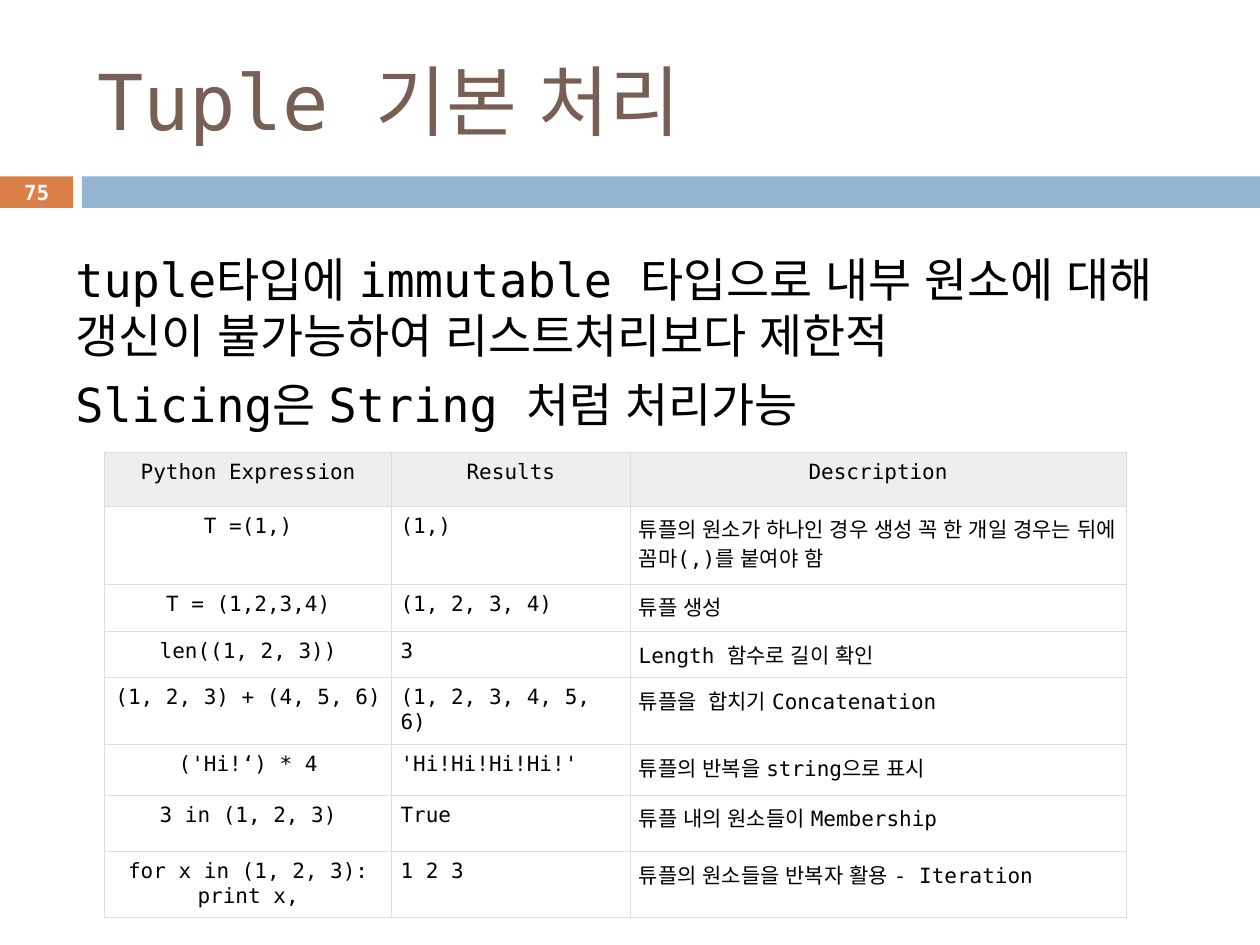
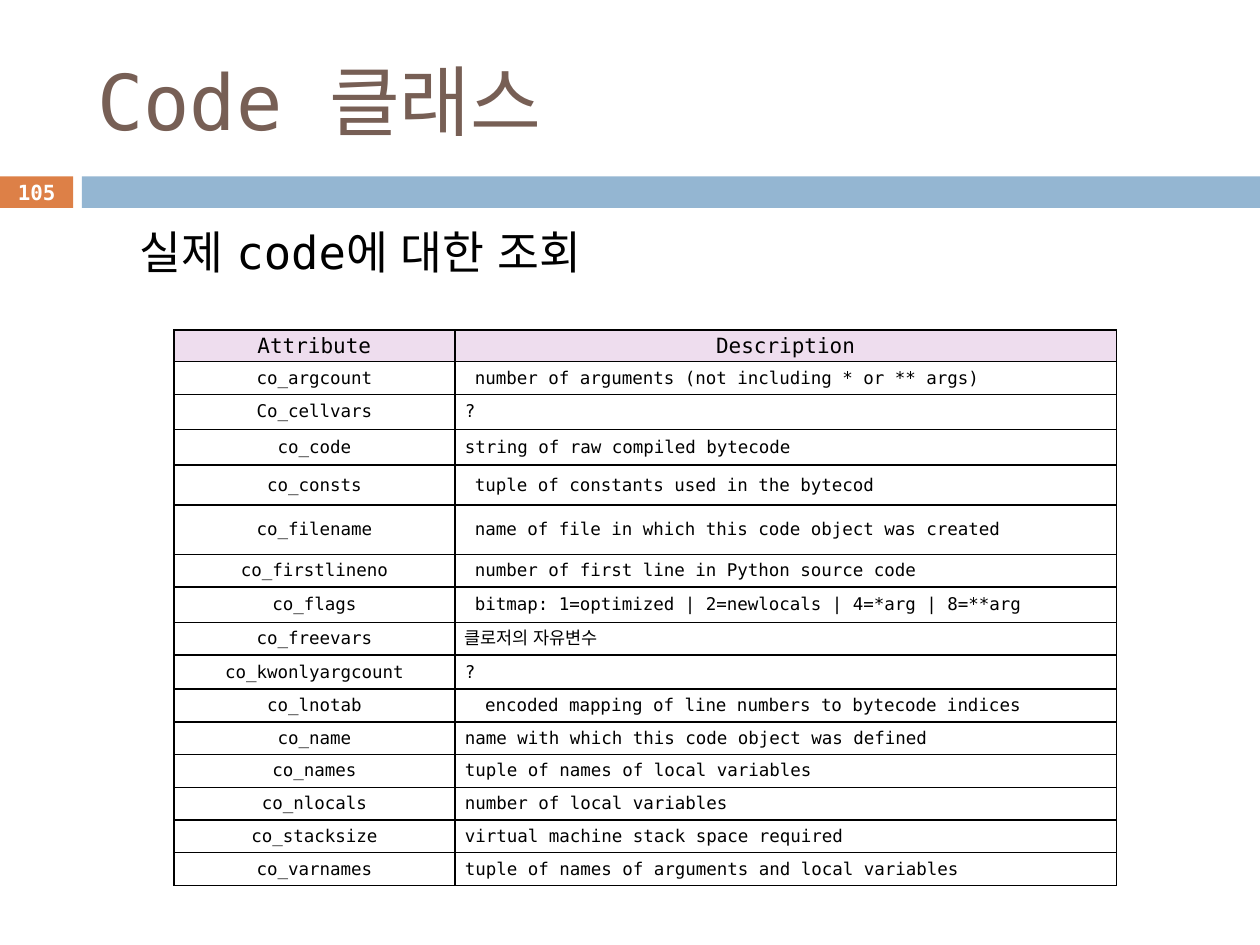
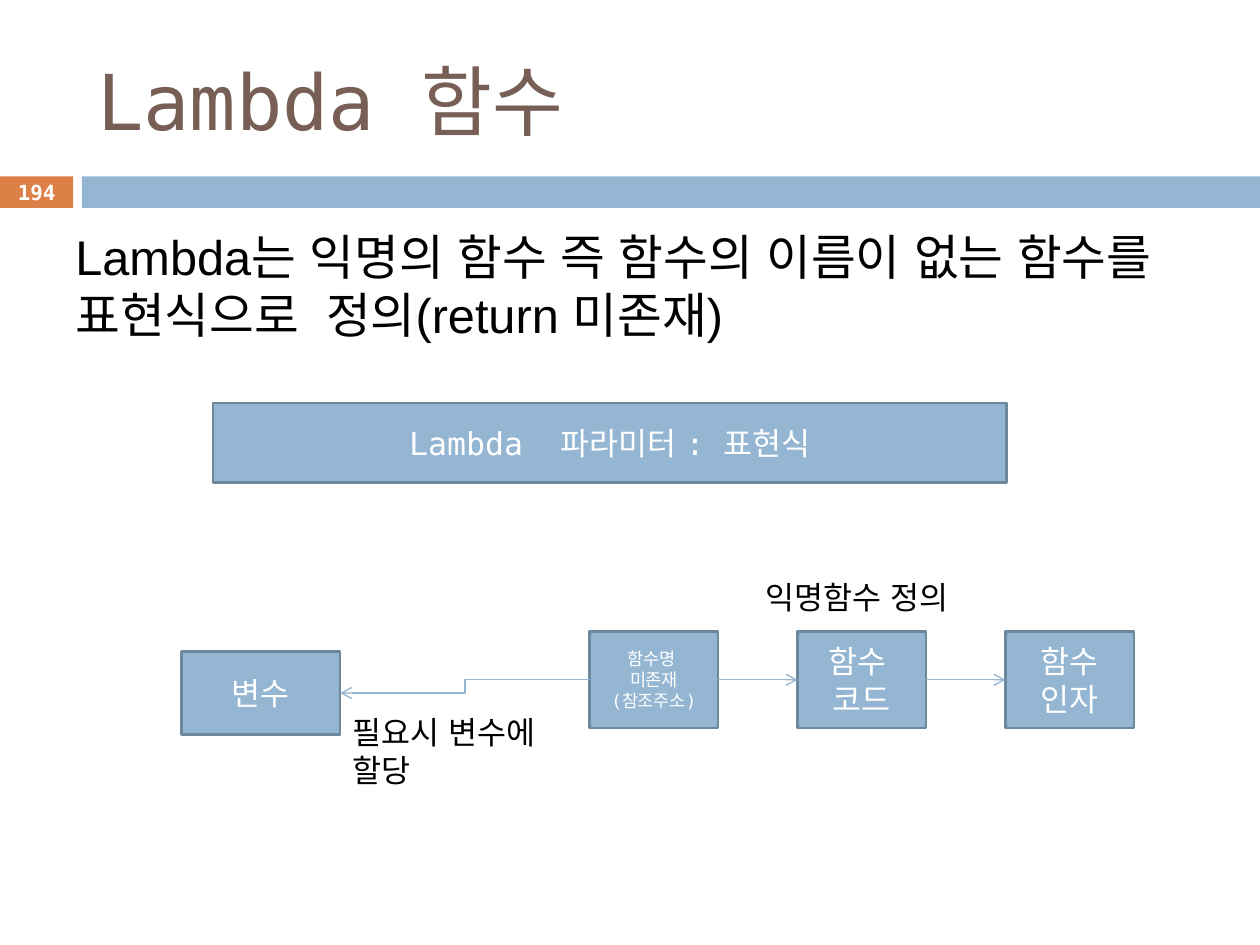
"""Build three slides on Python tuples, code objects and lambda functions."""
from lxml.etree import SubElement
from pptx import Presentation
from pptx.dml.color import RGBColor
from pptx.enum.shapes import MSO_CONNECTOR, MSO_SHAPE
from pptx.enum.text import MSO_ANCHOR, PP_ALIGN
from pptx.oxml import parse_xml
from pptx.oxml.ns import nsdecls, qn
from pptx.util import Inches, Pt

BLUE = RGBColor(0x94, 0xB6, 0xD2)
BLUE_EDGE = RGBColor(0x6D, 0x87, 0x9B)
ORANGE = RGBColor(0xDD, 0x80, 0x47)
BROWN = RGBColor(0x77, 0x5F, 0x55)
BLACK = RGBColor(0, 0, 0)
WHITE = RGBColor(255, 255, 255)
GRAY_HEAD = RGBColor(0xEE, 0xEE, 0xEE)
GRAY_EDGE = RGBColor(0xDD, 0xDD, 0xDD)
PINK_HEAD = RGBColor(0xEE, 0xDD, 0xEE)
MONO, SANS = "DejaVu Sans Mono", "Arial"
LEFT, CENTER = PP_ALIGN.LEFT, PP_ALIGN.CENTER
TOP, MIDDLE = MSO_ANCHOR.TOP, MSO_ANCHOR.MIDDLE

TUPLE_LINES = [
    "tuple타입에 immutable 타입으로 내부 원소에 대해 갱신이 불가능하여 리스트처리보다 제한적",
    "Slicing은 String 처럼 처리가능",
]
TUPLE_ROWS = [
    (0.43, "Python Expression", "Results", "Description"),
    (0.62, "T =(1,)", "(1,)",
     "튜플의 원소가 하나인 경우 생성 꼭 한 개일 경우는 뒤에 꼼마(,)를 붙여야 함"),
    (0.37, "T = (1,2,3,4)", "(1, 2, 3, 4)", "튜플 생성"),
    (0.37, "len((1, 2, 3))", "3", "Length 함수로 길이 확인"),
    (0.53, "(1, 2, 3) + (4, 5, 6)", "(1, 2, 3, 4, 5, 6)", "튜플을  합치기 Concatenation"),
    (0.4, "('Hi!‘) * 4", "'Hi!Hi!Hi!Hi!'", "튜플의 반복을 string으로 표시"),
    (0.45, "3 in (1, 2, 3)", "True", "튜플 내의 원소들이 Membership"),
    (0.52, "for x in (1, 2, 3): print x,", "1 2 3", "튜플의 원소들을 반복자 활용 - Iteration"),
]
CODE_LINES = ["실제 code에 대한 조회"]
CODE_ROWS = [
    (0.25, "Attribute", "Description"),
    (0.26, "co_argcount", "number of arguments (not including * or ** args)"),
    (0.28, "Co_cellvars", "?"),
    (0.28, "co_code", "string of raw compiled bytecode"),
    (0.32, "co_consts", "tuple of constants used in the bytecod"),
    (0.39, "co_filename", "name of file in which this code object was created"),
    (0.26, "co_firstlineno", "number of first line in Python source code"),
    (0.28, "co_flags", "bitmap: 1=optimized | 2=newlocals | 4=*arg | 8=**arg"),
    (0.26, "co_freevars", "클로저의 자유변수"),
    (0.27, "co_kwonlyargcount", "?"),
    (0.26, "co_lnotab", "encoded mapping of line numbers to bytecode indices"),
    (0.26, "co_name", "name with which this code object was defined"),
    (0.26, "co_names", "tuple of names of local variables"),
    (0.26, "co_nlocals", "number of local variables"),
    (0.26, "co_stacksize", "virtual machine stack space required"),
    (0.26, "co_varnames", "tuple of names of arguments and local variables"),
]
CODE_INDENTS = {"co_argcount": 1, "co_consts": 1, "co_filename": 1,
                "co_firstlineno": 1, "co_flags": 1, "co_lnotab": 2}
INDENT_STEP = 0.08
LAMBDA_LINES = ["Lambda는 익명의 함수 즉 함수의 이름이 없는 함수를 표현식으로  정의(return 미존재)"]
LAMBDA_FORM = ["Lambda  파라미터 : 표현식"]
CHAIN = [(["함수명 ", "미존재", "(참조주소)"], 10), (["함수 ", "코드"], 18), (["함수", "인자"], 18)]
CHAIN_LEFT, CHAIN_TOP, CHAIN_PITCH = 4.68, 5.01, 1.65
CHAIN_SIZE = (1.02, 0.77)


def write(frame, lines, size, color=BLACK, align=LEFT, anchor=TOP, font=MONO,
          bold=False, gap=0, spacing=None):
    """Fill a text frame with one styled paragraph per line."""
    frame.word_wrap = True
    frame.vertical_anchor = anchor
    for index, line in enumerate(lines):
        para = frame.paragraphs[0] if index == 0 else frame.add_paragraph()
        para.alignment = align
        para.line_spacing = spacing
        if index:
            para.space_before = Pt(gap)
        span = para.add_run()
        span.text = line
        span.font.size = Pt(size)
        span.font.name = font
        span.font.bold = bold
        span.font.color.rgb = color
        SubElement(span.font._element, qn("a:ea"), typeface=SANS)


def add_text(page, area, lines, size, **style):
    """Add a wrapped text box."""
    box = page.shapes.add_textbox(*map(Inches, area))
    write(box.text_frame, lines, size, **style)
    return box


def add_box(page, area, fill, edge=None):
    """Add a flat rectangle."""
    box = page.shapes.add_shape(MSO_SHAPE.RECTANGLE, *map(Inches, area))
    box.shadow.inherit = False
    box.fill.solid()
    box.fill.fore_color.rgb = fill
    if edge is None:
        box.line.fill.background()
    else:
        box.line.color.rgb = edge
        box.line.width = Pt(1.5)
    return box


def add_label_box(page, area, lines, size=18):
    """Add a blue diagram box with a white label."""
    box = add_box(page, area, BLUE, BLUE_EDGE)
    write(box.text_frame, lines, size, WHITE, CENTER, MIDDLE)
    return box


def add_arrow(page, kind, start, start_side, end, end_side):
    """Join two boxes with an open arrow."""
    arrow = page.shapes.add_connector(kind, 0, 0, 0, 0)
    arrow.begin_connect(start, start_side)
    arrow.end_connect(end, end_side)
    arrow.line.color.rgb = BLUE
    arrow.line.width = Pt(0.79)
    SubElement(arrow.line._get_or_add_ln(), qn("a:tailEnd"), type="arrow")
    SubElement(arrow._element.spPr, qn("a:effectLst"))


def add_page(deck, title, number):
    """Add a slide with its title, band and page number."""
    page = deck.slides.add_slide(deck.slide_layouts[5])
    heading = page.shapes.title
    heading.left, heading.top, heading.width, heading.height = map(
        Inches, (0.67, 0.25, 8.92, 1.08))
    write(heading.text_frame, [title], 44, BROWN, anchor=MIDDLE)
    tag = add_box(page, (0, 1.4, 0.58, 0.25), ORANGE)
    frame = tag.text_frame
    frame.margin_left = frame.margin_right = frame.margin_top = frame.margin_bottom = 0
    write(frame, [number], 11.9, WHITE, CENTER, MIDDLE, bold=True)
    add_box(page, (0.65, 1.4, 9.35, 0.25), BLUE)
    return page


def border_cell(cell, color, width):
    """Draw all four sides of a table cell."""
    properties = cell._tc.get_or_add_tcPr()
    for index, side in enumerate(("lnL", "lnR", "lnT", "lnB")):
        properties.insert(index, parse_xml(
            f'<a:{side} {nsdecls("a")} w="{Pt(width)}"><a:solidFill>'
            f'<a:srgbClr val="{color}"/></a:solidFill></a:{side}>'))


def add_grid(page, origin, widths, rows, head_fill, edge, edge_width, body_size,
             anchor, margin, text_margin, indents, description_spacing=None):
    """Add a table whose rows each start with their height."""
    heights = [row[0] for row in rows]
    area = (*origin, sum(widths), sum(heights))
    table = page.shapes.add_table(len(rows), len(widths), *map(Inches, area)).table
    table.first_row = table.horz_banding = False
    for column, width in zip(table.columns, widths):
        column.width = Inches(width)
    for row_index, (height, *texts) in enumerate(rows):
        table.rows[row_index].height = Inches(height)
        is_head = row_index == 0
        for column_index, text in enumerate(texts):
            cell = table.cell(row_index, column_index)
            is_centered = is_head or column_index == 0
            is_description = not is_head and column_index == len(texts) - 1
            left = margin if is_centered else (
                text_margin + INDENT_STEP * indents.get(texts[0], 0))
            cell.margin_left = Inches(left)
            cell.margin_right = cell.margin_top = cell.margin_bottom = Inches(margin)
            write(cell.text_frame, [text], 12 if is_head else body_size,
                  align=CENTER if is_centered else LEFT,
                  spacing=description_spacing if is_description else None)
            cell.vertical_anchor = anchor
            if is_head:
                cell.fill.solid()
                cell.fill.fore_color.rgb = head_fill
            else:
                cell.fill.background()
            border_cell(cell, edge, edge_width)


def build_tuple_page(deck):
    """Show the basic tuple operations."""
    page = add_page(deck, "Tuple 기본 처리", "75")
    add_text(page, (0.5, 1.94, 9, 1.5), TUPLE_LINES, 26.8, gap=7)
    add_grid(page, (0.83, 3.59), (2.28, 1.89, 3.94), TUPLE_ROWS, GRAY_HEAD, GRAY_EDGE,
             0.6, 12, TOP, 0.06, 0.07, {}, 1.2)


def build_code_page(deck):
    """List the attributes of the code class."""
    page = add_page(deck, "Code 클래스", "105")
    body = add_text(page, (0.51, 1.73, 9, 1.24), CODE_LINES, 26)
    body.text_frame.margin_left = Inches(0.6)
    add_grid(page, (1.38, 2.62), (2.23, 5.25), CODE_ROWS, PINK_HEAD, BLACK,
             1, 10, MIDDLE, 0.01, 0.08, CODE_INDENTS)


def build_lambda_page(deck):
    """Diagram a lambda function."""
    page = add_page(deck, "Lambda 함수", "194")
    add_text(page, (0.5, 1.75, 9, 1.06), LAMBDA_LINES, 27.8, font=SANS)
    add_label_box(page, (1.69, 3.2, 6.3, 0.63), LAMBDA_FORM)
    chain = [add_label_box(page, (CHAIN_LEFT + CHAIN_PITCH * index, CHAIN_TOP, *CHAIN_SIZE),
                           lines, size)
             for index, (lines, size) in enumerate(CHAIN)]
    for start, end in zip(chain, chain[1:]):
        add_arrow(page, MSO_CONNECTOR.STRAIGHT, start, 3, end, 1)
    variable = add_label_box(page, (1.44, 5.17, 1.26, 0.66), ["변수"])
    add_arrow(page, MSO_CONNECTOR.ELBOW, chain[0], 1, variable, 3)
    add_text(page, (5.03, 4.54, 3.54, 0.28), ["익명함수 정의"], 18, align=CENTER)
    add_text(page, (2.7, 5.61, 1.97, 0.59), ["필요시 변수에 할당"], 18)


def main():
    """Build and save the deck."""
    deck = Presentation()
    deck.slide_width, deck.slide_height = Inches(10), Inches(7.5)
    build_tuple_page(deck)
    build_code_page(deck)
    build_lambda_page(deck)
    deck.save("out.pptx")


if __name__ == "__main__":
    main()
